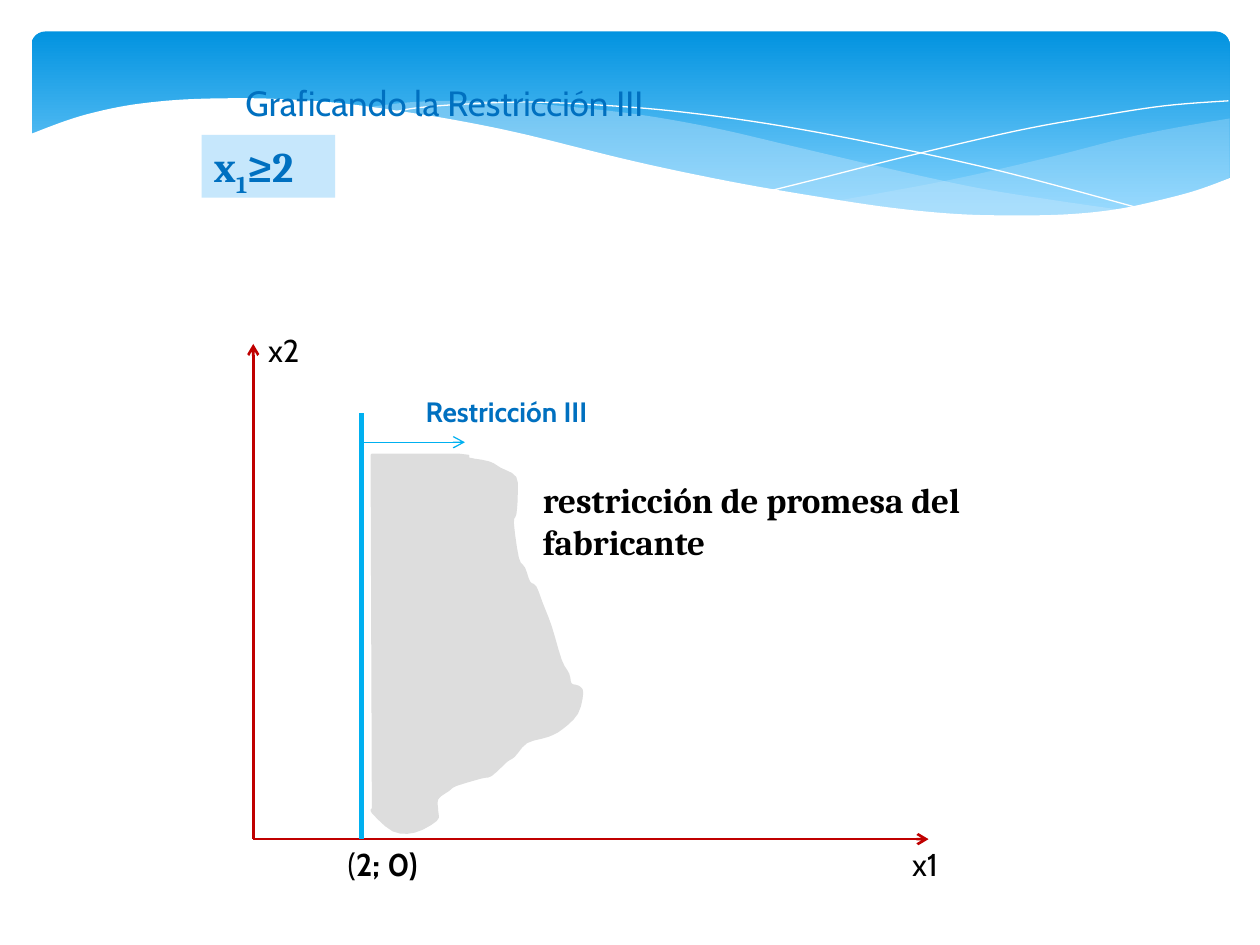
from lxml import etree
from pptx import Presentation
from pptx import util as u
from pptx.dml.color import RGBColor
from pptx.enum import shapes, text
from pptx.oxml.ns import qn

SKY = RGBColor(0x02, 0x93, 0xE0)
PALE = RGBColor(0x83, 0xD3, 0xFE)
MIST = RGBColor(0xC6, 0xE7, 0xFC)
WHITE = RGBColor(0xFF, 0xFF, 0xFF)
BLACK = RGBColor(0, 0, 0)
RED = RGBColor(0xC0, 0, 0)
CYAN = RGBColor(0, 0xB0, 0xF0)
BLUE = RGBColor(0, 0x70, 0xC0)
GRAY = RGBColor(0xDD, 0xDD, 0xDD)

BAND_TOP = [(9.76, 0.94), (9.35, 1.01), (8.91, 1.1), (8.32, 1.25),
            (7.53, 1.43), (6.61, 1.6)]
BAND_LOW = [(6.61, 1.6), (7.05, 1.65), (7.57, 1.7), (8.14, 1.72),
            (8.63, 1.7), (9.05, 1.63), (9.42, 1.54), (9.76, 1.41)]
WAVE_TOP = [(8.93, 1.67), (8.37, 1.59), (7.75, 1.49), (7.06, 1.34),
            (6.29, 1.16), (5.69, 1.02), (5.14, 0.92), (4.65, 0.86),
            (4.2, 0.82), (3.8, 0.8), (3.28, 0.81), (2.86, 0.86)]
WAVE_LOW = [(2.86, 0.86), (3.42, 0.94), (4.04, 1.06), (4.91, 1.26),
            (5.66, 1.43), (6.34, 1.56), (6.95, 1.65), (7.48, 1.7),
            (8.07, 1.73), (8.48, 1.72), (8.93, 1.67)]
FALL = [(3.09, 0.9), (3.28, 0.86), (3.63, 0.83), (4.16, 0.81), (4.69, 0.83),
        (5.33, 0.88), (6.08, 0.98), (6.95, 1.14), (7.95, 1.36), (9.07, 1.66)]
RISE = [(6.13, 1.51), (6.53, 1.41), (7.2, 1.24), (8.06, 1.04),
        (8.66, 0.93), (9.24, 0.84), (9.75, 0.8)]
EDGE = [(9.77, 1.41), (9.5, 1.51), (9.2, 1.59), (8.87, 1.66), (8.5, 1.7),
        (8.09, 1.71), (7.61, 1.7), (7.08, 1.65), (6.48, 1.56), (5.79, 1.44),
        (5.03, 1.28), (4.18, 1.07), (3.65, 0.96), (3.16, 0.88), (2.71, 0.82),
        (2.3, 0.79), (1.93, 0.78), (1.46, 0.79), (1.06, 0.83), (0.76, 0.89),
        (0.52, 0.96), (0.23, 1.07)]
ZONE = [(2.95, 3.61), (3.65, 3.61), (3.72, 3.64), (3.88, 3.67), (3.97, 3.72),
        (4.09, 3.79), (4.1, 3.94), (4.09, 4.08), (4.07, 4.15), (4.11, 4.43),
        (4.16, 4.51), (4.2, 4.62), (4.25, 4.66), (4.3, 4.79), (4.37, 4.97),
        (4.45, 5.24), (4.51, 5.35), (4.53, 5.43), (4.59, 5.45), (4.62, 5.5),
        (4.58, 5.66), (4.46, 5.78), (4.35, 5.84), (4.18, 5.89), (4.08, 6),
        (4.02, 6.04), (3.9, 6.15), (3.82, 6.17), (3.62, 6.23), (3.56, 6.27),
        (3.47, 6.34), (3.47, 6.44), (3.46, 6.51), (3.29, 6.6), (3.12, 6.59),
        (2.96, 6.45), (2.96, 6.42)]


def blend(p, q, r, s, t):
    return q + t / 2 * (r - p + t * (2 * p - 5 * q + 4 * r - s
                                     + t * (3 * (q - r) + s - p)))


def curve(knots, steps=6):
    ends = [knots[0], *knots, knots[-1]]
    dots = [knots[0]]
    for group in zip(ends, ends[1:], ends[2:], ends[3:]):
        for i in range(1, steps + 1):
            dots.append([blend(*axis, i / steps) for axis in zip(*group)])
    return dots


class Page:
    def __init__(self, deck, face="Cabin", ink=BLACK):
        self.slide = deck.slides.add_slide(deck.slide_layouts[6])
        self.face, self.ink = face, ink

    def paint(self, shape, fill=None, line=None, width=0, alpha=None):
        shape.shadow.inherit = False
        if fill is None:
            shape.fill.background()
        else:
            shape.fill.solid()
            shape.fill.fore_color.rgb = fill
        if alpha:
            tone = shape._element.spPr.find(".//" + qn("a:srgbClr"))
            etree.SubElement(tone, qn("a:alpha"), val=str(alpha * 1000))
        if line is None:
            shape.line.fill.background()
        else:
            shape.line.color.rgb = line
            shape.line.width = u.Pt(width)

    def free(self, dots, close=True, **style):
        spots = [(u.Inches(x), u.Inches(y)) for x, y in dots]
        pen = self.slide.shapes.build_freeform(*spots[0], scale=1.0)
        pen.add_line_segments(spots[1:], close=close)
        self.paint(pen.convert_to_shape(), **style)

    def box(self, kind, *area):
        return self.slide.shapes.add_shape(kind, *map(u.Inches, area))

    def banner(self, *area):
        shape = self.box(shapes.MSO_SHAPE.ROUNDED_RECTANGLE, *area)
        self.paint(shape)
        shape.adjustments[0] = 0.07
        shape.fill.gradient()
        shape.fill.gradient_angle = 270
        stops = shape.fill.gradient_stops
        for stop, tone, place in zip(stops, (SKY, PALE), (0, 0.9)):
            stop.color.rgb = tone
            stop.position = place

    def line(self, start, end, tone, width, arrow=True):
        link = self.slide.shapes.add_connector(
            shapes.MSO_CONNECTOR.STRAIGHT, *map(u.Inches, start + end))
        link.line.color.rgb = tone
        link.line.width = u.Pt(width)
        props = link._element.spPr
        if arrow:
            etree.SubElement(props.find(qn("a:ln")), qn("a:tailEnd"),
                             type="arrow")
        etree.SubElement(props, qn("a:effectLst"))

    def letter(self, shape, runs, size, face=None, ink=None, wrap=False):
        frame = shape.text_frame
        frame.word_wrap = wrap
        frame.auto_size = text.MSO_AUTO_SIZE.SHAPE_TO_FIT_TEXT
        frame.vertical_anchor = text.MSO_ANCHOR.TOP
        para = frame.paragraphs[0]
        para.alignment = text.PP_ALIGN.LEFT
        for words, bold, base in runs:
            run = para.add_run()
            run.text = words
            run.font.size = u.Pt(size)
            run.font.name = face or self.face
            run.font.bold = bold
            run.font.color.rgb = ink or self.ink
            if base:
                run._r.get_or_add_rPr().set("baseline", str(base * 1000))

    def label(self, area, runs, size, **style):
        shape = self.slide.shapes.add_textbox(*map(u.Inches, area))
        self.letter(shape, runs, size, **style)

    def panel(self, area, runs, size, fill, **style):
        shape = self.box(shapes.MSO_SHAPE.RECTANGLE, *area)
        self.paint(shape, fill=fill)
        self.letter(shape, runs, size, **style)


def main():
    deck = Presentation()
    deck.slide_width, deck.slide_height = u.Inches(10), u.Inches(7.5)
    page = Page(deck)

    page.banner(0.25, 0.25, 9.51, 1.56)
    page.free(curve(BAND_TOP) + curve(BAND_LOW), fill=MIST, alpha=29)
    page.free(curve(WAVE_TOP) + curve(WAVE_LOW), fill=MIST, alpha=40)
    for knots in (FALL, RISE):
        page.free(curve(knots), close=False, line=WHITE)
    page.free(curve(EDGE) + [(0.23, 2.24), (9.77, 2.24)], fill=WHITE)

    zero, limit = (2.01, 6.66), 2.87
    page.line(zero, (7.37, 6.66), RED, 1.5)
    page.line(zero, (2.01, 2.73), RED, 1.5)
    page.line((limit, 3.28), (limit, 6.66), CYAN, 3, arrow=False)
    page.panel((1.6, 1.07, 1.06, 0.5),
               [("x", True, 0), ("1", True, -25), ("≥2", True, 0)],
               24, MIST, face="Cambria", ink=BLUE)
    page.label((1.85, 0.6, 3.67, 0.44),
               [("Graficando la Restricción III", False, 0)], 20, ink=BLUE)
    page.line((limit, 3.51), (3.69, 3.51), CYAN, 0.75)
    page.label((7.14, 6.66, 0.46, 0.4), [("x1", False, 0)], 18)
    page.label((2.03, 2.58, 0.46, 0.4), [("x2", False, 0)], 18)
    page.label((3.28, 3.08, 1.63, 0.37),
               [("Restricción III", True, 0)], 16, ink=BLUE)
    page.label((2.66, 6.66, 0.85, 0.4),
               [("(", False, 0), ("2; 0)", True, 0)], 18)
    page.label((4.21, 3.75, 4.49, 0.77),
               [("restricción de promesa del fabricante", True, 0)],
               20, face="Cambria", wrap=True)
    page.free(curve(ZONE, 3), fill=GRAY, line=GRAY, width=1.25)

    deck.save("out.pptx")


if __name__ == "__main__":
    main()
